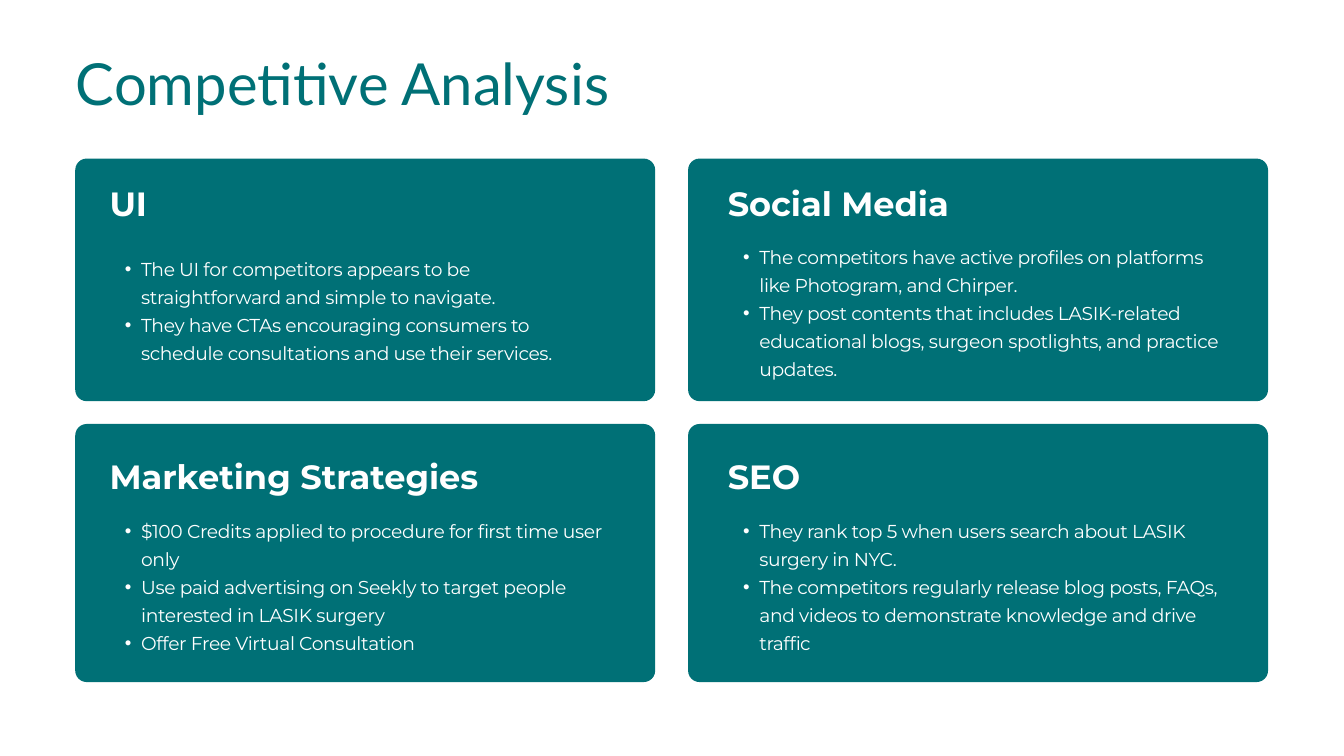
from lxml import etree
from pptx import Presentation
from pptx import util as u
from pptx.dml import color
from pptx.enum import shapes, text
from pptx.oxml import ns

WIDTH, HEIGHT = 20, 11.25
TEAL, WHITE = "007076", "FFFFFF"
TITLE = {"name": "Lato", "size": u.Pt(62.1), "bold": False}
HEADING = {"name": "Montserrat", "size": u.Pt(36), "bold": True}
BODY = {"name": "Montserrat", "size": u.Pt(20), "bold": False}

# Grid: (card left, text left) per column, (card top, card height) per row
COLUMNS = [(1.12, 1.63), (10.24, 10.83)]
ROWS = [(2.36, 3.61), (6.31, 3.84)]
CARD_WIDTH, TEXT_WIDTH, CORNER = 8.63, 7.45, 0.17

# column, row, heading top, list top, heading, bullets
CARDS = [
    (0, 0, 2.67, 3.76, "UI", [
        "The UI for competitors appears to be straightforward and simple to navigate.",
        "They have CTAs encouraging consumers to schedule consultations and use their services.",
    ]),
    (1, 0, 2.67, 3.58, "Social Media", [
        "The competitors have active profiles on platforms like Photogram, and Chirper.",
        "They post contents that includes LASIK-related educational blogs, surgeon spotlights, "
        "and practice updates.",
    ]),
    (0, 1, 6.74, 7.65, "Marketing Strategies", [
        "$100 Credits applied to procedure for first time user only",
        "Use paid advertising on Seekly to target people interested in LASIK surgery",
        "Offer Free Virtual Consultation",
    ]),
    (1, 1, 6.74, 7.65, "SEO", [
        "They rank top 5 when users search about LASIK surgery in NYC.",
        "The competitors regularly release blog posts, FAQs, and videos to demonstrate "
        "knowledge and drive traffic",
    ]),
]


def rgb(value):
    return color.RGBColor.from_string(value)


def add_text(box, lines, font_format, font_color, spacing, bulleted=False):
    """Add a text box with one paragraph per line, bulleted if asked."""
    frame = slide.shapes.add_textbox(*[u.Inches(length) for length in box]).text_frame
    frame.word_wrap = True
    frame.auto_size = text.MSO_AUTO_SIZE.NONE
    for side in ("left", "top", "right", "bottom"):
        setattr(frame, f"margin_{side}", 0)
    for number, line in enumerate(lines):
        paragraph = frame.add_paragraph() if number else frame.paragraphs[0]
        paragraph.line_spacing = u.Pt(spacing)
        run = paragraph.add_run()
        run.text = line
        for name, value in font_format.items():
            setattr(run.font, name, value)
        run.font.color.rgb = rgb(font_color)
        if bulleted:
            paragraph.level = 1
            properties = paragraph._p.get_or_add_pPr()
            properties.set("marL", str(u.Inches(0.47)))
            properties.set("indent", str(u.Inches(-0.24)))
            etree.SubElement(properties, ns.qn("a:buFont"), typeface="Arial")
            etree.SubElement(properties, ns.qn("a:buChar"), char="•")
            run._r.get_or_add_rPr().set("spc", "-40")


presentation = Presentation()
presentation.slide_width = u.Inches(WIDTH)
presentation.slide_height = u.Inches(HEIGHT)
slide = presentation.slides.add_slide(presentation.slide_layouts[6])

add_text((1.13, 0.54, 12.08, 1.17), ["Competitive Analysis"], TITLE, TEAL, 87)

for column, row, heading_top, list_top, heading, bullets in CARDS:
    card_left, text_left = COLUMNS[column]
    card_top, card_height = ROWS[row]
    card = slide.shapes.add_shape(
        shapes.MSO_SHAPE.ROUNDED_RECTANGLE,
        *[u.Inches(length) for length in (card_left, card_top, CARD_WIDTH, card_height)])
    card.adjustments[0] = CORNER / card_height
    card.shadow.inherit = False
    card.fill.solid()
    card.fill.fore_color.rgb = rgb(TEAL)
    card.line.fill.background()

    add_text((text_left, heading_top, TEXT_WIDTH, 0.63), [heading], HEADING, WHITE, 46.8)
    list_height = 1.65 if (column, row) == (0, 0) else 2.05
    add_text((text_left, list_top, TEXT_WIDTH, list_height), bullets, BODY, WHITE, 30, True)

presentation.save("out.pptx")
